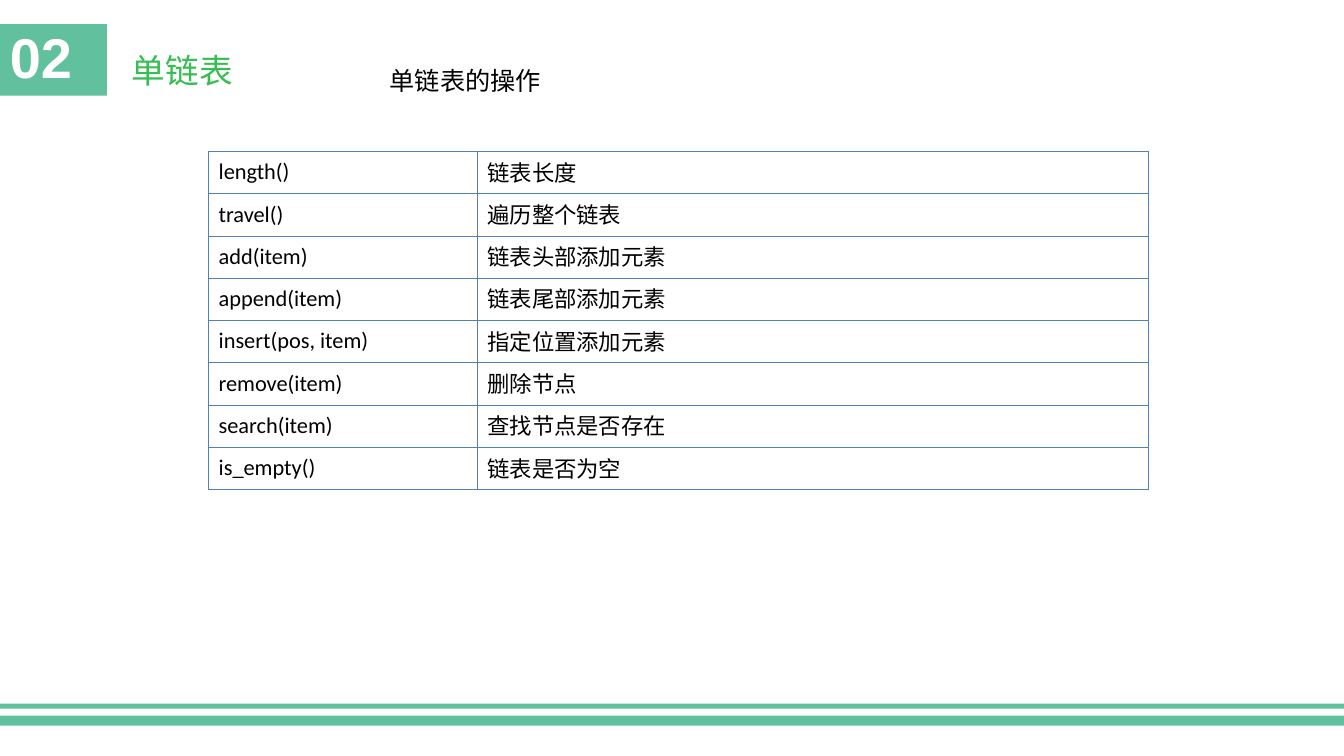
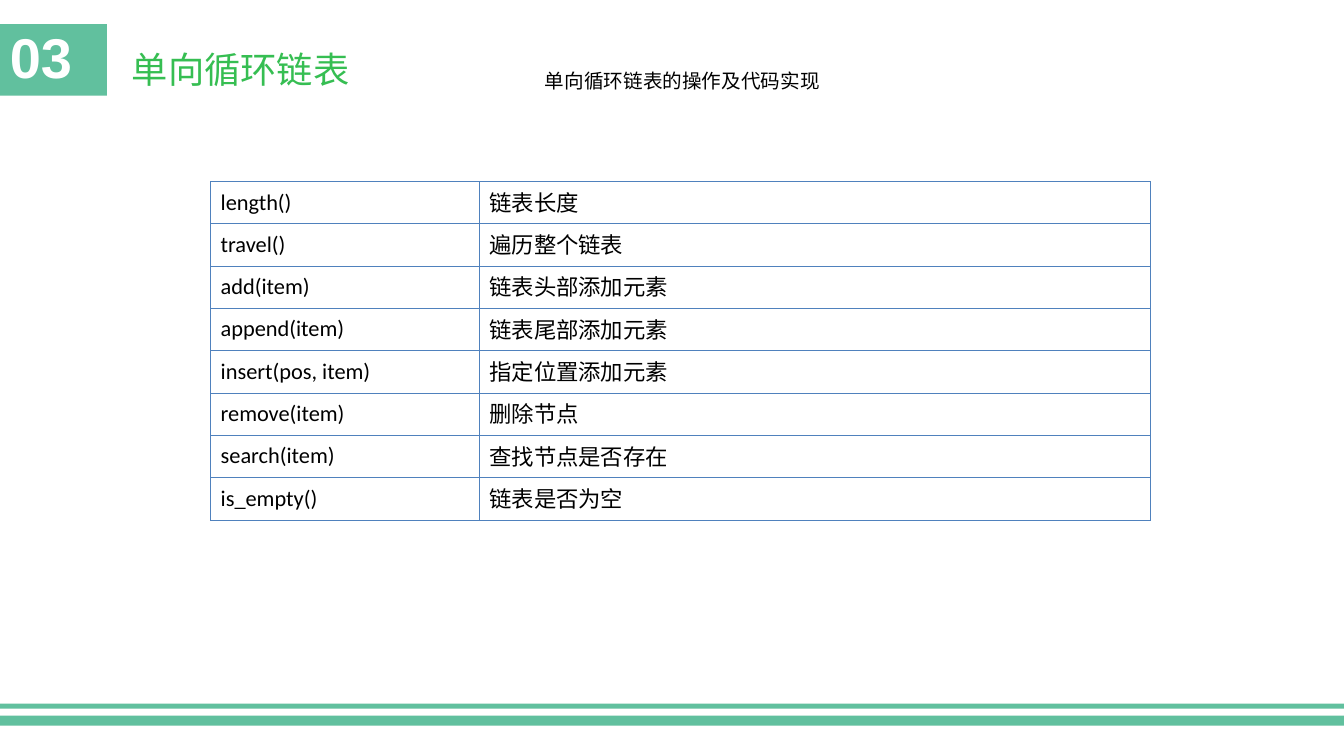
from pptx import Presentation
from pptx.dml.color import RGBColor as Rgb
from pptx.enum.shapes import MSO_SHAPE as Kind
from pptx.enum.text import MSO_ANCHOR as Anchor, MSO_AUTO_SIZE as Fit, PP_ALIGN as Align
from pptx.oxml import parse_xml
from pptx.oxml.ns import nsdecls
from pptx.util import Inches, Pt

WIDE, HIGH = Inches(13.34), Inches(7.5)
GREEN, LEAF, EDGE, WHITE, BLACK = "61C09E", "36BE52", "4F81BD", "FFFFFF", "000000"
BANDS = [(0, 94.67, 100, 1.33), (0, 93.07, 100, 0.67)]
BADGE = (0, 3.2, 7.95, 9.47)
TITLE = (9.07, 3.2, 52.77, 9.47)
COLS, ROW = (20, 49.94), 5.6

NUM = dict(name="Arial", size=Pt(40), bold=True)
HEAD = dict(name="League Spartan", bold=False)
NOTE = dict(name="DejaVu Sans")
CELL = dict(name="Calibri", size=Pt(16), bold=False)

CALLS = [
    ("length()", "链表长度"),
    ("travel()", "遍历整个链表"),
    ("add(item)", "链表头部添加元素"),
    ("append(item)", "链表尾部添加元素"),
    ("insert(pos, item)", "指定位置添加元素"),
    ("remove(item)", "删除节点"),
    ("search(item)", "查找节点是否存在"),
    ("is_empty()", "链表是否为空"),
]

PAGES = [
    dict(num="02", title=("单链表", 24, 1.5),
         note=("单链表的操作", 18, (28.26, 8, 41.83, 5.33)), spot=(15.52, 20)),
    dict(num="03", title=("单向循环链表", 25.9, 1.4),
         note=("单向循环链表的操作及代码实现", 14, (39.81, 8.4, 25.04, 4.53)), spot=(15.67, 24)),
]


def hue(code):
    return Rgb.from_string(code)


def across(share):
    return round(WIDE * share / 100)


def down(share):
    return round(HIGH * share / 100)


def area(x, y, w, h):
    return across(x), down(y), across(w), down(h)


def write(frame, text, style, code, lead=1.0, anchor=Anchor.MIDDLE):
    frame.text = text
    frame.word_wrap = True
    frame.vertical_anchor = anchor
    para = frame.paragraphs[0]
    para.alignment = Align.LEFT
    para.line_spacing = lead
    font = para.runs[0].font
    for key, value in style.items():
        setattr(font, key, value)
    font.color.rgb = hue(code)


def block(slide, box):
    shape = slide.shapes.add_shape(Kind.RECTANGLE, *area(*box))
    shape.shadow.inherit = False
    shape.fill.solid()
    shape.fill.fore_color.rgb = hue(GREEN)
    shape.line.fill.background()
    return shape


def head(slide, text, size, lead):
    title = slide.shapes.title
    title.left, title.top, title.width, title.height = area(*TITLE)
    write(title.text_frame, text, HEAD | dict(size=Pt(size)), LEAF, lead)
    title.text_frame.auto_size = Fit.NONE


def note(slide, text, size, box):
    frame = slide.shapes.add_textbox(*area(*box)).text_frame
    write(frame, text, NOTE | dict(size=Pt(size)), BLACK, anchor=Anchor.TOP)


def border(cell):
    props = cell._tc.get_or_add_tcPr()
    for spot, side in enumerate("LRTB"):
        props.insert(spot, parse_xml(
            f'<a:ln{side} {nsdecls("a")} w="{Pt(0.45)}"><a:solidFill>'
            f'<a:srgbClr val="{EDGE}"/></a:solidFill></a:ln{side}>'))


def grid(slide, rows, x, y):
    box = area(x, y, sum(COLS), ROW * len(rows))
    table = slide.shapes.add_table(len(rows), len(COLS), *box).table
    table.first_row = table.horz_banding = False
    for col, share in zip(table.columns, COLS):
        col.width = across(share)
    for line, texts in zip(table.rows, rows):
        line.height = down(ROW)
        for cell, text in zip(line.cells, texts):
            write(cell.text_frame, text, CELL, BLACK, 0.9)
            cell.vertical_anchor = Anchor.MIDDLE
            cell.fill.background()
            border(cell)


def frame(deck, num):
    slide = deck.slides.add_slide(deck.slide_layouts[5])
    for band in BANDS:
        block(slide, band)
    write(block(slide, BADGE).text_frame, num, NUM, WHITE, 0.9)
    return slide


def main():
    deck = Presentation()
    deck.slide_width, deck.slide_height = WIDE, HIGH
    for page in PAGES:
        slide = frame(deck, page["num"])
        head(slide, *page["title"])
        note(slide, *page["note"])
        grid(slide, CALLS, *page["spot"])
    deck.save("out.pptx")


if __name__ == "__main__":
    main()
